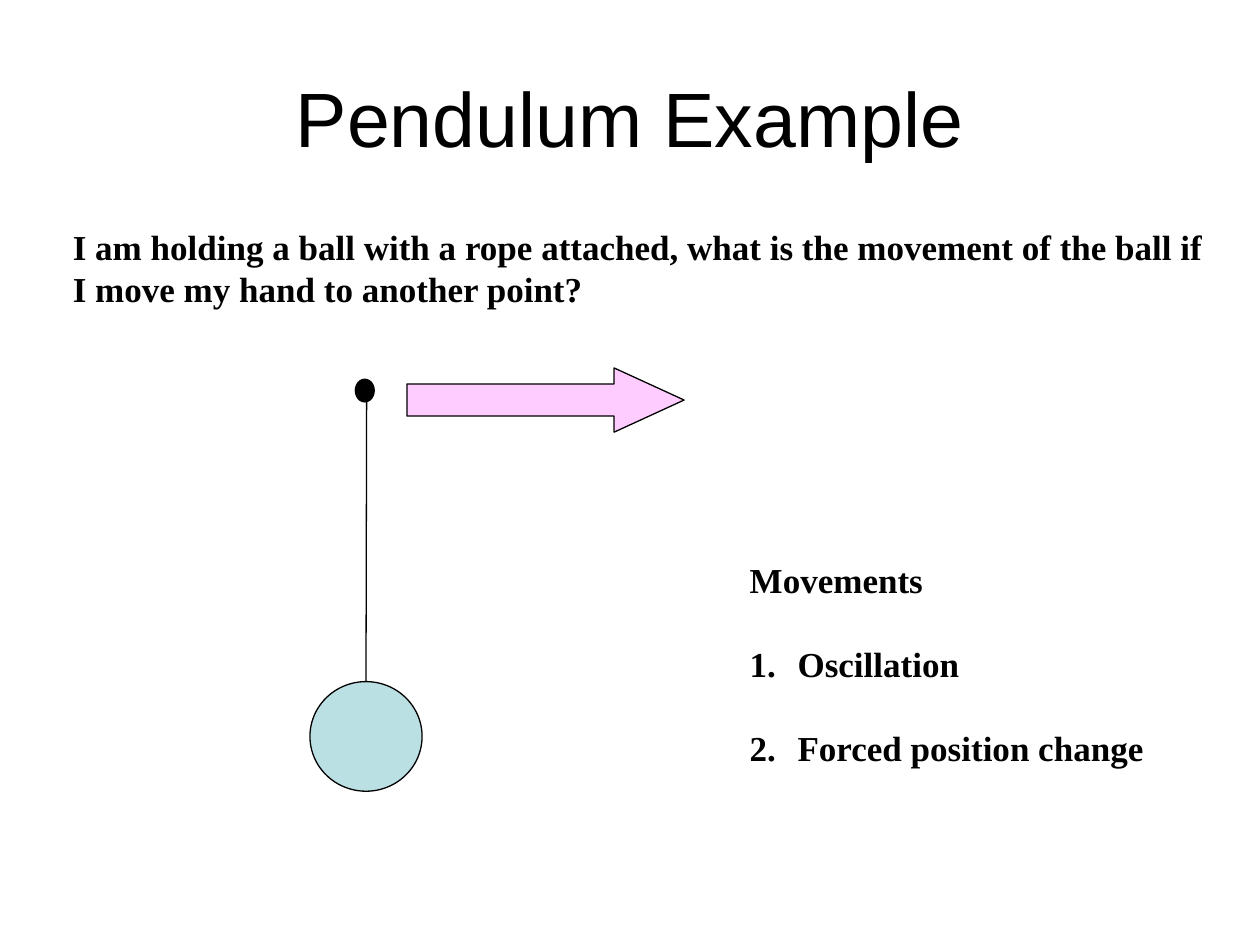
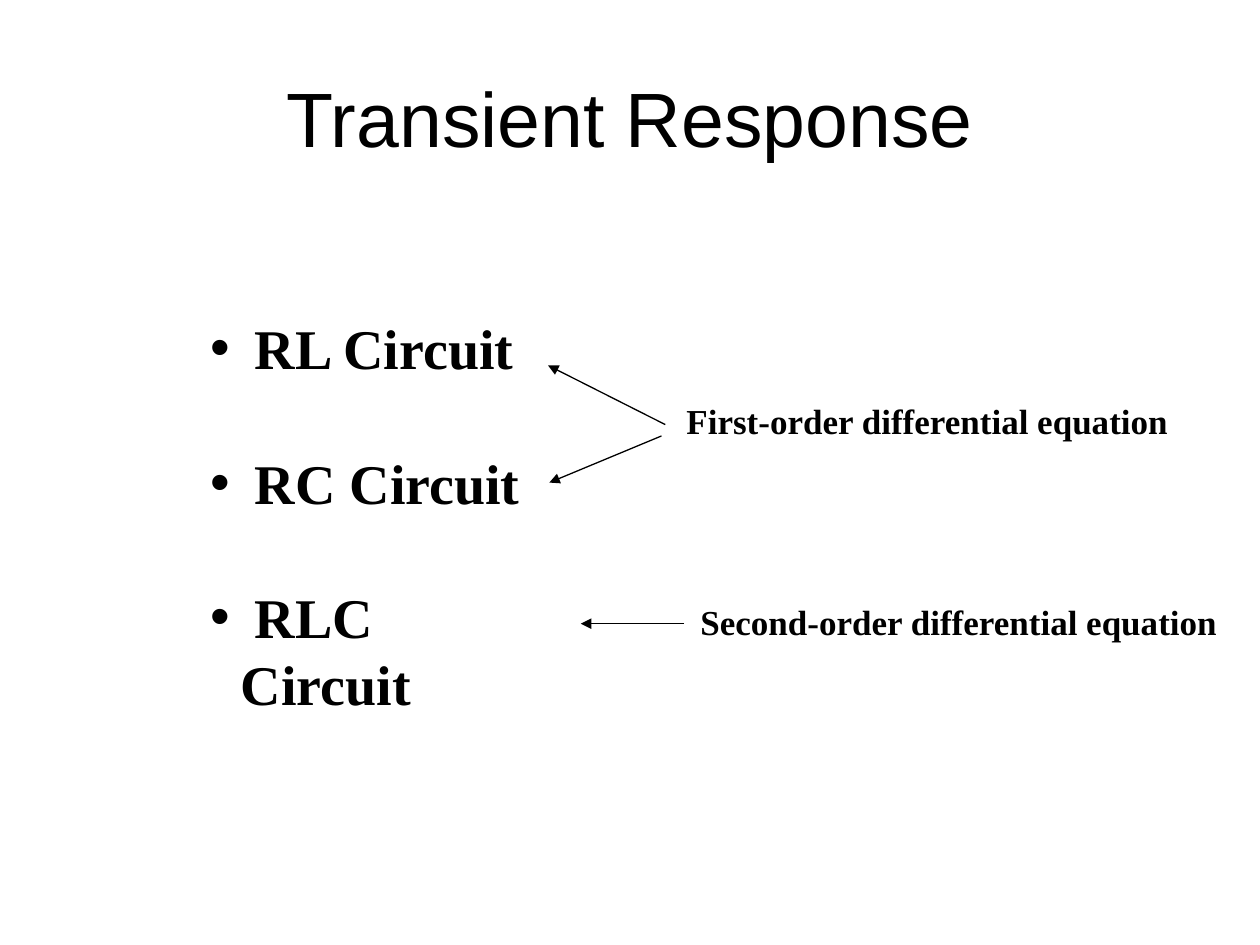
from lxml import etree
from pptx import Presentation
from pptx.dml.color import RGBColor
from pptx.enum.shapes import MSO_CONNECTOR, MSO_SHAPE
from pptx.enum.text import MSO_AUTO_SIZE, PP_ALIGN
from pptx.oxml.ns import qn
from pptx.util import Inches, Pt

STRAIGHT = MSO_CONNECTOR.STRAIGHT
ELLIPSE = MSO_SHAPE.OVAL
RIGHT_ARROW = MSO_SHAPE.RIGHT_ARROW
LEFT, CENTER = PP_ALIGN.LEFT, PP_ALIGN.CENTER
NO_AUTOFIT = MSO_AUTO_SIZE.NONE

# Shared style
BLACK, PALE_TEAL, PINK = "000000", "BBE0E3", "FFCCFF"
TITLE_FONT, TEXT_FONT = "Arial", "Times New Roman"
LINE_WIDTH = Pt(0.75)
LINE_HEIGHT = 1.2
TITLE_AND_BODY = 1


def colour(hex_code):
    return RGBColor.from_string(hex_code)


def place(shape, left, top, width, height):
    shape.left, shape.top = Inches(left), Inches(top)
    shape.width, shape.height = Inches(width), Inches(height)


def write_text(frame, lines, size=20, font=TEXT_FONT, bold=True,
               align=LEFT, gap=0, wrap=True):
    """Write one paragraph a line, with gap points before all but the first."""
    frame.auto_size = NO_AUTOFIT
    frame.word_wrap = wrap
    for index, line in enumerate(lines):
        paragraph = frame.paragraphs[0] if index == 0 else frame.add_paragraph()
        paragraph.alignment = align
        paragraph.line_spacing = Pt(size * LINE_HEIGHT)
        paragraph.space_before = Pt(gap if index else 0)
        run = paragraph.add_run()
        run.text = line
        run.font.name, run.font.size, run.font.bold = font, Pt(size), bold
        run.font.color.rgb = colour(BLACK)


def set_bullet(paragraph, tag, hanging=0, **attributes):
    properties = paragraph._p.get_or_add_pPr()
    properties.set("marL", str(Inches(hanging)))
    properties.set("indent", str(-Inches(hanging)))
    etree.SubElement(properties, qn(tag), attributes)


def add_titled_slide(presentation, title):
    slide = presentation.slides.add_slide(
        presentation.slide_layouts[TITLE_AND_BODY])
    place(slide.shapes.title, 0.5, 0.3, 9, 1.25)
    write_text(slide.shapes.title.text_frame, [title], size=44,
               font=TITLE_FONT, bold=False, align=CENTER)
    return slide


def add_list(slide, box, lines, **text_format):
    body = slide.placeholders[1]
    place(body, *box)
    write_text(body.text_frame, lines, **text_format)
    return body.text_frame.paragraphs


def add_label(slide, box, lines):
    label = slide.shapes.add_textbox(*map(Inches, box))
    write_text(label.text_frame, lines, wrap=False)


def add_figure(slide, kind, box, fill):
    shape = slide.shapes.add_shape(kind, *map(Inches, box))
    shape.shadow.inherit = False
    shape.fill.solid()
    shape.fill.fore_color.rgb = colour(fill)
    shape.line.color.rgb = colour(BLACK)
    shape.line.width = LINE_WIDTH
    return shape


def add_line(slide, start, end, arrow=False):
    connector = slide.shapes.add_connector(
        STRAIGHT, *map(Inches, (*start, *end)))
    connector.line.color.rgb = colour(BLACK)
    connector.line.width = LINE_WIDTH
    if arrow:
        etree.SubElement(connector.line._get_or_add_ln(), qn("a:tailEnd"),
                         type="triangle")
    etree.SubElement(connector._element.spPr, qn("a:effectLst"))
    return connector


def build_pendulum(presentation):
    slide = add_titled_slide(presentation, "Pendulum Example")
    add_label(slide, (0.48, 1.74, 9.17, 0.77), [
        "I am holding a ball with a rope attached, what is the movement of the ball if",
        "I move my hand to another point?"])

    # Ball, rope, hand and its movement
    ball = add_figure(slide, ELLIPSE, (2.46, 5.41, 0.89, 0.87), PALE_TEAL)
    rope = add_line(slide, (2.91, 5.4), (2.91, 3.13))
    rope.begin_connect(ball, 0)
    movement = add_figure(slide, RIGHT_ARROW, (3.23, 2.92, 2.2, 0.51), PINK)
    movement.adjustments[1] = 1.09
    add_figure(slide, ELLIPSE, (2.82, 3.01, 0.15, 0.18), BLACK)

    # Numbered movements under their heading
    heading, *movements = add_list(
        slide, (5.85, 4.38, 3.33, 1.77),
        ["Movements", "Oscillation", "Forced position change"], gap=24)
    set_bullet(heading, "a:buNone")
    for paragraph in movements:
        set_bullet(paragraph, "a:buAutoNum", hanging=0.38, type="arabicPeriod")


def build_transient_response(presentation):
    slide = add_titled_slide(presentation, "Transient Response")
    circuits = add_list(slide, (1.57, 2.44, 2.87, 2.77),
                        [" RL Circuit", " RC Circuit", " RLC Circuit"],
                        size=32, gap=38.4)
    for paragraph in circuits:
        set_bullet(paragraph, "a:buChar", hanging=0.24, char="•")

    # Equation orders, with arrows to their circuits
    add_label(slide, (5.35, 3.12, 4.03, 0.44),
              ["First-order differential equation"])
    add_label(slide, (5.46, 4.72, 4.31, 0.44),
              ["Second-order differential equation"])
    for start, end in (((5.28, 3.37), (4.35, 2.9)),
                       ((5.25, 3.46), (4.36, 3.83)),
                       ((5.43, 4.95), (4.61, 4.95))):
        add_line(slide, start, end, arrow=True)


def main():
    presentation = Presentation()
    presentation.slide_width = Inches(10)
    presentation.slide_height = Inches(7.5)
    build_pendulum(presentation)
    build_transient_response(presentation)
    presentation.save("out.pptx")


if __name__ == "__main__":
    main()
